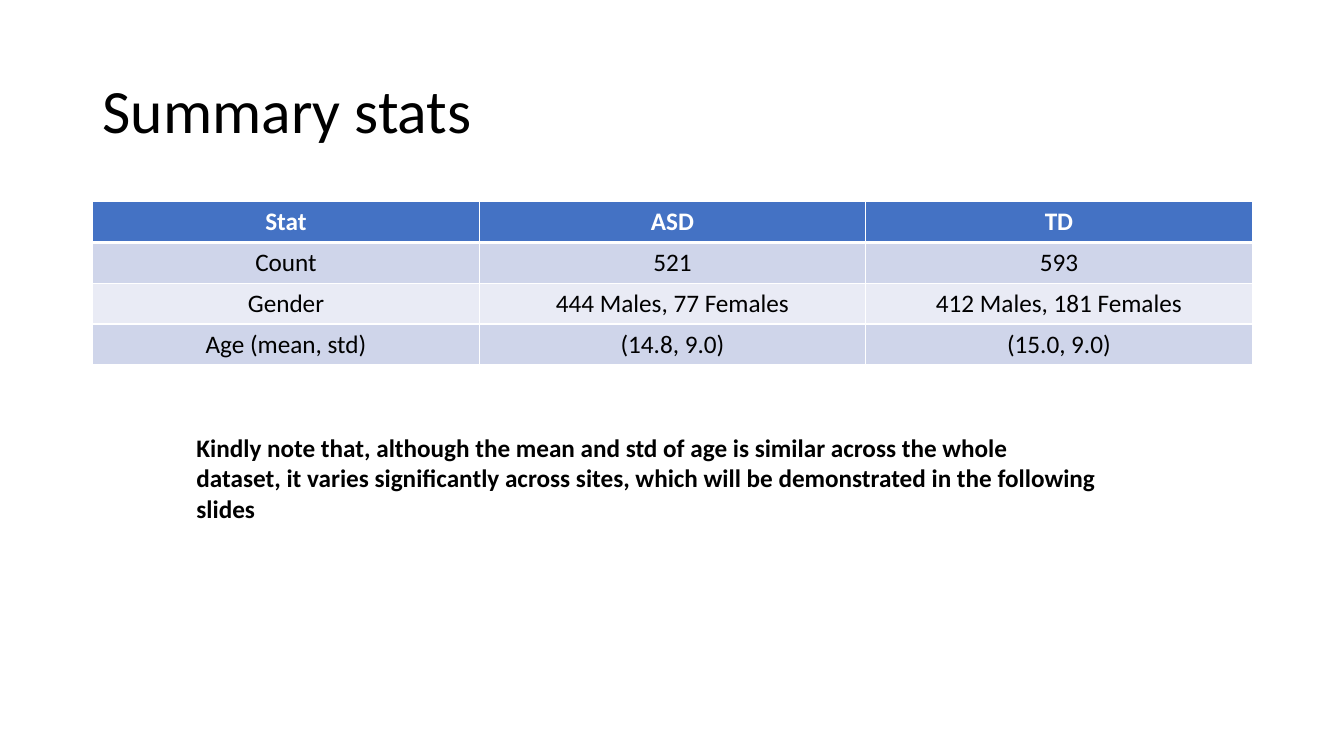
from pptx import Presentation
from pptx.dml.color import RGBColor as RGB
from pptx.enum.text import MSO_ANCHOR as Anchor, PP_ALIGN as Align
from pptx.oxml import parse_xml
from pptx.oxml.ns import nsdecls
from pptx.util import Inches, Pt

TITLE = "Summary stats"
STATS = [
    ("Stat", "ASD", "TD"),
    ("Count", "521", "593"),
    ("Gender", "444 Males, 77 Females", "412 Males, 181 Females"),
    ("Age (mean, std)", "(14.8, 9.0)", "(15.0, 9.0)"),
]
NOTE = ("Kindly note that, although the mean and std of age is similar across "
        "the whole dataset, it varies significantly across sites, which will be "
        "demonstrated in the following slides")

THEME = {
    "font": "Calibri", "title_size": 44, "body_size": 18,
    "text": "000000", "header_text": "FFFFFF", "border": "FFFFFF",
    "header": "4472C4", "bands": ("CFD5EA", "E9EBF5"),
    "thin": 1, "thick": 3,
}
TITLE_BOX = (0.92, 0.4, 11.5, 1.45)
TABLE_BOX = (0.92, 2, 11.5, 1.62)
NOTE_BOX = (1.85, 4.24, 9.12, 1.01)


def write(tf, text, size, color=THEME["text"], bold=False, **paragraph):
    p = tf.paragraphs[0]
    for name, value in paragraph.items():
        setattr(p, name, value)
    r = p.add_run()
    r.text = text
    font = {"name": THEME["font"], "size": Pt(size), "bold": bold}
    for name, value in font.items():
        setattr(r.font, name, value)
    r.font.color.rgb = RGB.from_string(color)


def add_text(s, box, text, size, anchor=Anchor.TOP, **style):
    tf = s.shapes.add_textbox(*map(Inches, box)).text_frame
    tf.word_wrap = True
    tf.vertical_anchor = anchor
    write(tf, text, size, **style)


def set_borders(cell, widths):
    """Draw the cell's sides; widths are points, keyed L, R, T, B."""
    tc_pr = cell._tc.get_or_add_tcPr()
    for i, (side, width) in enumerate(widths.items()):
        tc_pr.insert(i, parse_xml(
            f'<a:ln{side} {nsdecls("a")} w="{Pt(width)}"><a:solidFill>'
            f'<a:srgbClr val="{THEME["border"]}"/></a:solidFill></a:ln{side}>'))


def add_stats(s):
    table = s.shapes.add_table(
        len(STATS), len(STATS[0]), *map(Inches, TABLE_BOX)).table
    thin, thick = THEME["thin"], THEME["thick"]
    for i, row in enumerate(STATS):
        header = i == 0
        fill = THEME["header"] if header else THEME["bands"][(i - 1) % 2]
        color = THEME["header_text" if header else "text"]
        widths = {"L": thin, "R": thin,
                  "T": thick if i == 1 else thin,
                  "B": thick if header else thin}
        for j, text in enumerate(row):
            cell = table.cell(i, j)
            cell.fill.solid()
            cell.fill.fore_color.rgb = RGB.from_string(fill)
            set_borders(cell, widths)
            write(cell.text_frame, text, THEME["body_size"], color,
                  bold=header, alignment=Align.CENTER)


def main():
    prs = Presentation()
    prs.slide_width, prs.slide_height = Inches(13.33), Inches(7.5)
    s = prs.slides.add_slide(prs.slide_layouts[6])
    add_text(s, TITLE_BOX, TITLE, THEME["title_size"], Anchor.MIDDLE,
             line_spacing=0.9)
    add_stats(s)
    add_text(s, NOTE_BOX, NOTE, THEME["body_size"], bold=True)
    prs.save("out.pptx")


if __name__ == "__main__":
    main()
